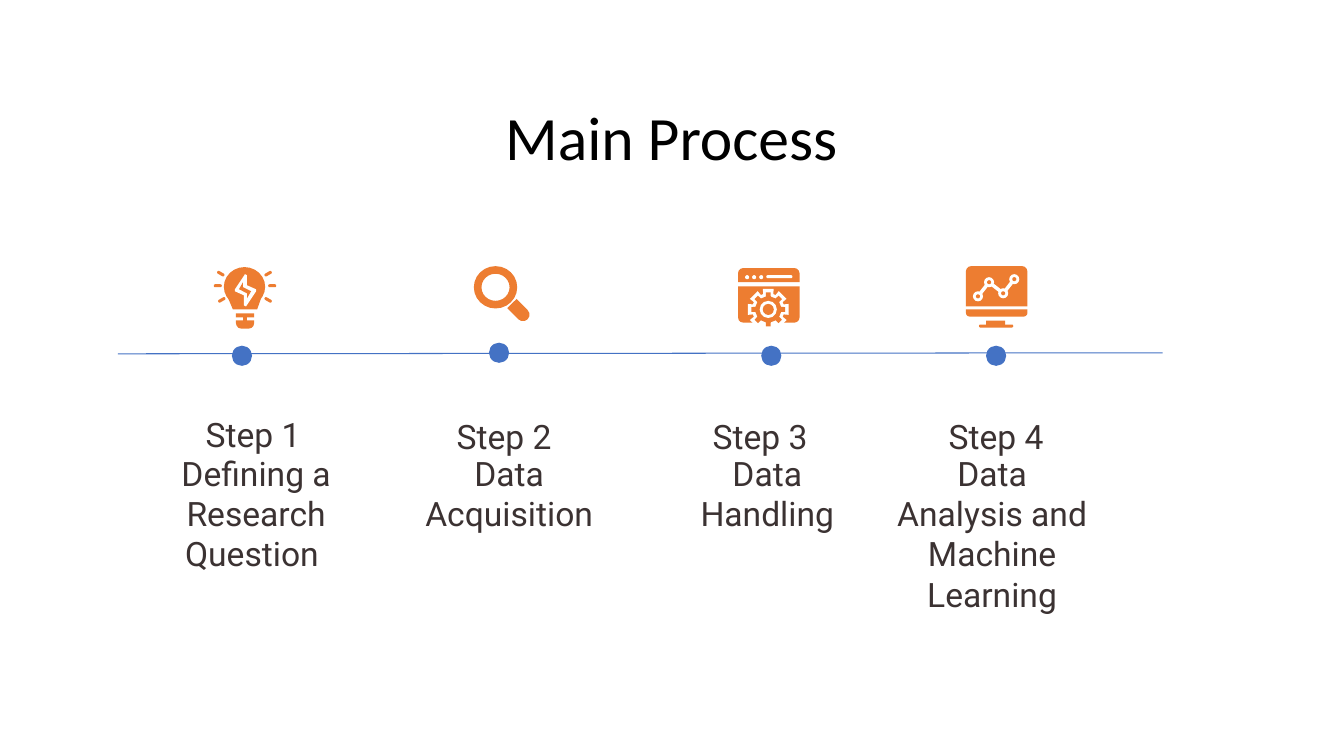
from math import cos, radians, sin

from lxml import etree
from pptx import Presentation
from pptx.dml.color import RGBColor
from pptx.enum.shapes import MSO_CONNECTOR, MSO_SHAPE
from pptx.enum.text import MSO_ANCHOR, MSO_AUTO_SIZE, PP_ALIGN
from pptx.oxml.ns import qn
from pptx.util import Inches, Pt

OVAL = MSO_SHAPE.OVAL
RECT = MSO_SHAPE.RECTANGLE
PILL = MSO_SHAPE.ROUNDED_RECTANGLE
ROUND_TOP = MSO_SHAPE.ROUND_2_SAME_RECTANGLE
DONUT = MSO_SHAPE.DONUT
STRAIGHT = MSO_CONNECTOR.STRAIGHT
CENTER = PP_ALIGN.CENTER
TOP = MSO_ANCHOR.TOP
NO_FIT = MSO_AUTO_SIZE.NONE

ORANGE, BLUE, WHITE = "ED7D31", "4472C4", "FFFFFF"
BLACK, BROWN = "000000", "3B3232"

deck = Presentation()
deck.slide_width = Inches(13.33)
deck.slide_height = Inches(7.5)
page = deck.slides.add_slide(deck.slide_layouts[5])


def add_solid(form, color, turn=0, adjust=None):
    """Add a preset (kind, left, top, width, height) or a polygon (list of points)."""
    if isinstance(form, list):
        points = [(Inches(x), Inches(y)) for x, y in form]
        builder = page.shapes.build_freeform(*points[0])
        builder.add_line_segments(points[1:], close=True)
        shape = builder.convert_to_shape()
    else:
        kind, *place = form
        shape = page.shapes.add_shape(kind, *[Inches(value) for value in place])
    shape.shadow.inherit = False
    shape.fill.solid()
    shape.fill.fore_color.rgb = RGBColor.from_string(color)
    shape.line.fill.background()
    shape.rotation = turn
    if adjust is not None:
        shape.adjustments[0] = adjust


def write(box, text, font, size, color, spacing, after=0):
    """Fill a box with one centred paragraph."""
    frame = box.text_frame
    frame.text = text
    frame.word_wrap = True
    frame.auto_size = NO_FIT
    frame.vertical_anchor = TOP
    frame.margin_left = frame.margin_right = Inches(0.13)
    frame.margin_top = frame.margin_bottom = Inches(0.13)
    para = frame.paragraphs[0]
    para.alignment = CENTER
    para.line_spacing = spacing
    para.space_before = Pt(0)
    para.space_after = Pt(after)
    span = para.runs[0]
    span.font.name = font
    span.font.size = Pt(size)
    span.font.color.rgb = RGBColor.from_string(color)


# Title
title = page.shapes.title
title.left, title.top = Inches(1.6), Inches(0.93)
title.width, title.height = Inches(10.12), Inches(0.75)
write(title, "Main Process", "Calibri", 44, BLACK, 0.9)

# Light bulb: glass, neck, base with two slots, bolt
add_solid((OVAL, 2.22, 2.65, 0.41, 0.39), ORANGE)
add_solid([(2.25, 2.93), (2.6, 2.93), (2.55, 3.07), (2.31, 3.07)], ORANGE)
add_solid((ROUND_TOP, 2.34, 3.11, 0.18, 0.15), ORANGE, turn=180, adjust=0.35)
for slot_left in (2.33, 2.45):
    add_solid((RECT, slot_left, 3.15, 0.08, 0.03), WHITE)
add_solid([(2.43, 2.72), (2.45, 2.73), (2.45, 2.83), (2.54, 2.87), (2.54, 2.89),
           (2.44, 3.04), (2.42, 3.03), (2.42, 2.93), (2.33, 2.89), (2.33, 2.87)], WHITE)
add_solid([(2.41, 2.8), (2.37, 2.87), (2.45, 2.91), (2.45, 2.96),
           (2.49, 2.89), (2.41, 2.85)], ORANGE)

# Light bulb: rays
for ray_left, ray_top, turn in [(2.12, 2.82, 0), (2.66, 2.82, 0), (2.15, 2.7, 30),
                                (2.62, 2.96, 30), (2.62, 2.7, -30), (2.16, 2.96, -30)]:
    add_solid((PILL, ray_left, ray_top, 0.08, 0.03), ORANGE, turn, adjust=0.5)

# Magnifying glass
add_solid((DONUT, 4.7, 2.64, 0.43, 0.42), ORANGE, adjust=0.18)
add_solid((ROUND_TOP, 5.09, 2.98, 0.13, 0.22), ORANGE, turn=135, adjust=0.5)

# Browser window: bar, buttons, address, body
add_solid((ROUND_TOP, 7.32, 2.66, 0.61, 0.14), ORANGE, adjust=0.36)
for button in range(3):
    add_solid((OVAL, 7.39 + 0.07 * button, 2.73, 0.04, 0.04), WHITE)
add_solid((PILL, 7.6, 2.73, 0.26, 0.03), WHITE, adjust=0.5)
add_solid((ROUND_TOP, 7.32, 2.84, 0.61, 0.36), ORANGE, turn=180, adjust=0.14)

# Browser window: gear with a white rim and a ring at its centre
for color, root, tip, root_half, tip_half in [(WHITE, 0.16, 0.21, 18, 15),
                                              (ORANGE, 0.13, 0.17, 11, 8)]:
    gear = []
    for tooth in range(8):
        for radius, offset in [(root, -root_half), (tip, -tip_half),
                               (tip, tip_half), (root, root_half)]:
            angle = radians(45 * tooth + offset)
            gear.append((7.62 + radius * cos(angle), 3.07 + radius * sin(angle)))
    add_solid(gear, color)
for color, radius in [(WHITE, 0.085), (ORANGE, 0.055)]:
    add_solid((OVAL, 7.62 - radius, 3.07 - radius, 2 * radius, 2 * radius), color)

# Monitor: screen, lower edge, stand, foot
add_solid((ROUND_TOP, 9.58, 2.64, 0.61, 0.4), ORANGE, adjust=0.13)
add_solid((ROUND_TOP, 9.58, 3.07, 0.61, 0.07), ORANGE, turn=180, adjust=0.5)
add_solid((RECT, 9.78, 3.18, 0.19, 0.05), ORANGE)
add_solid((PILL, 9.71, 3.22, 0.34, 0.03), ORANGE, adjust=0.5)

# Timeline and the trend on the monitor
trend = [(9.7, 2.94), (9.81, 2.8), (9.95, 2.91), (10.06, 2.77)]
lines = [((11.53, 3.5), (1.17, 3.51), BLUE, 0.75)]
lines += [(start, end, WHITE, 2.5) for start, end in zip(trend, trend[1:])]
for start, end, color, weight in lines:
    line = page.shapes.add_connector(STRAIGHT, *[Inches(v) for v in start + end])
    line.line.color.rgb = RGBColor.from_string(color)
    line.line.width = Pt(weight)
    etree.SubElement(line._element.spPr, qn("a:effectLst"))
for x, y in trend:
    for color, radius in [(WHITE, 0.05), (ORANGE, 0.02)]:
        add_solid((OVAL, x - radius, y - radius, 2 * radius, 2 * radius), color)

# Steps: dot left and top, heading left and top, label left, label
steps = [
    (2.3, 3.43, 1.13, 3.92, 1.45, "Defining a Research Question "),
    (4.85, 3.4, 3.62, 3.94, 3.96, "Data Acquisition"),
    (7.55, 3.43, 6.16, 3.94, 6.52, "Data Handling"),
    (9.78, 3.43, 8.5, 3.94, 8.75, "Data Analysis and Machine Learning"),
]
for number, (dot_left, dot_top, head_left, head_top, label_left, label) in enumerate(steps, 1):
    add_solid((OVAL, dot_left, dot_top, 0.2, 0.2), BLUE)
    for text, left, top, width, height, spacing in [
        (f"Step {number}", head_left, head_top, 2.76, 0.63, 1.15),
        (label, label_left, 4.36, 2.18, 1.34, 1.0),
    ]:
        box = page.shapes.add_textbox(Inches(left), Inches(top), Inches(width), Inches(height))
        write(box, text, "Roboto", 24, BROWN, spacing, after=21.3)

deck.save("out.pptx")
